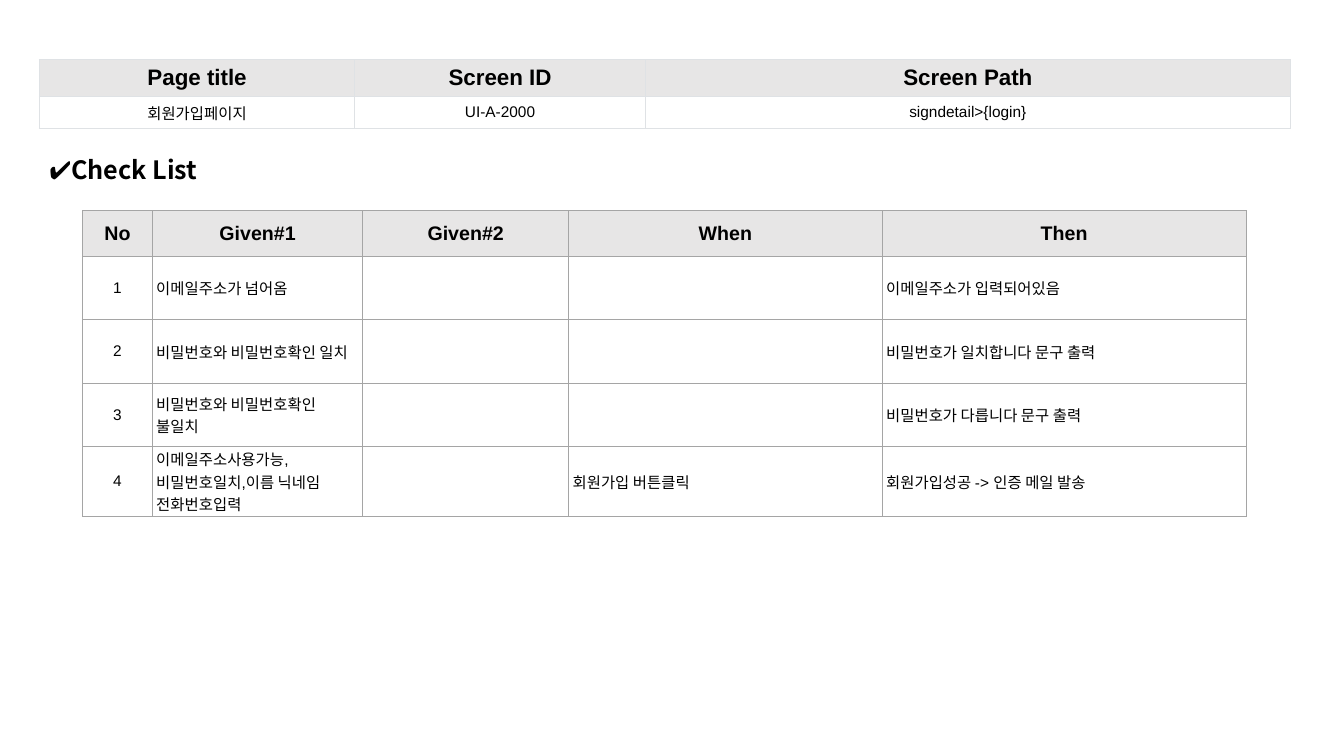
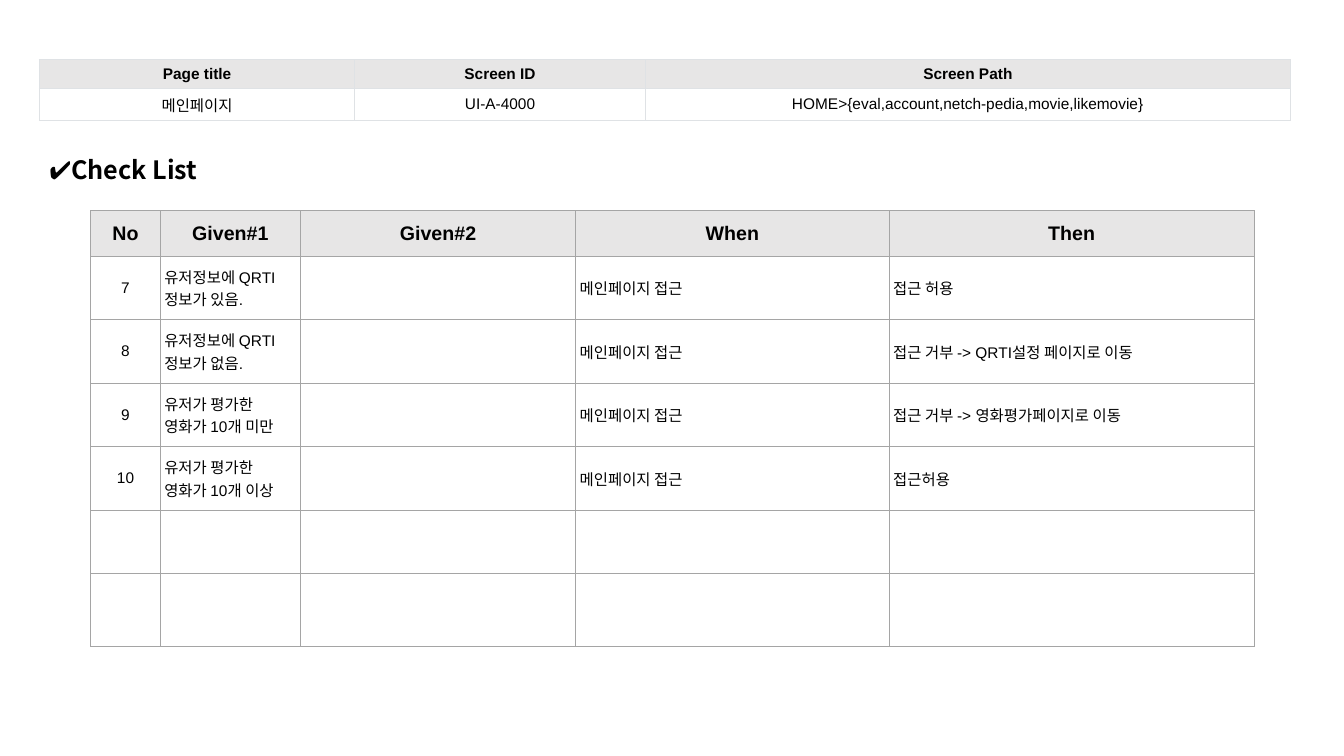
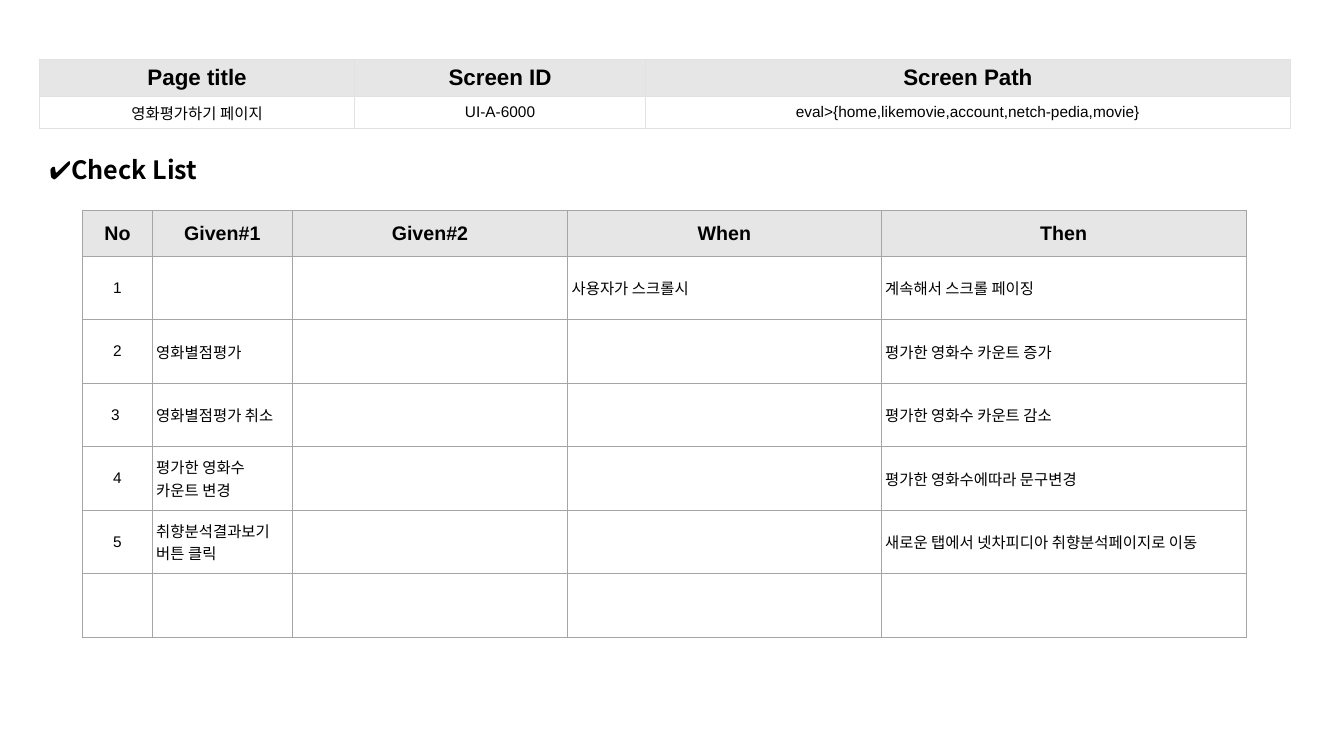
"""Build three screen check-list slides."""
from dataclasses import dataclass

from lxml import etree
from pptx import Presentation
from pptx import util as u
from pptx.dml.color import RGBColor
from pptx.enum import text
from pptx.oxml import ns


@dataclass(frozen=True)
class Theme:
    """Colours, fonts and type sizes of the deck."""
    ink: str = "000000"
    paper: str = "FFFFFF"
    header_fill: str = "E7E6E6"
    info_border: str = "DFE2E5"
    check_border: str = "A5A5A5"
    latin: str = "Arial"
    korean: str = "Noto Sans CJK KR"
    title_size: int = 18
    info_header_size: int = 16
    check_header_size: int = 14
    body_size: int = 11
    border_width: float = 0.75


THEME = Theme()
CENTER, LEFT = text.PP_ALIGN.CENTER, text.PP_ALIGN.LEFT
INFO_HEADERS = ("Page title", "Screen ID", "Screen Path")
INFO_COLUMNS = (3.13, 2.88, 6.4)
CHECK_HEADERS = ("No", "Given#1", "Given#2", "When", "Then")
WIDE_GIVEN = (0.69, 2.09, 2.04, 3.11, 3.61)
NARROW_GIVEN = (0.69, 1.39, 2.73, 3.11, 3.62)
EMPTY_ROW = ("",) * len(CHECK_HEADERS)


def write_text(frame, content, size=THEME.body_size, bold=False, font=THEME.latin, align=LEFT):
    """Write one formatted paragraph into a text frame."""
    paragraph = frame.paragraphs[0]
    paragraph.alignment = align
    run = paragraph.add_run()
    run.text = content
    run.font.name = font
    run.font.size = u.Pt(size)
    run.font.bold = bold
    run.font.color.rgb = RGBColor.from_string(THEME.ink)
    east_asian = etree.SubElement(run.font._element, ns.qn("a:ea"))
    east_asian.set("typeface", THEME.korean)


def set_borders(cell, color):
    """Draw a thin line on all four sides of a cell."""
    properties = cell._tc.get_or_add_tcPr()
    for index, side in enumerate(("lnL", "lnR", "lnT", "lnB")):
        line = etree.Element(ns.qn(f"a:{side}"), w=str(u.Pt(THEME.border_width)))
        fill = etree.SubElement(line, ns.qn("a:solidFill"))
        etree.SubElement(fill, ns.qn("a:srgbClr"), val=color)
        properties.insert(index, line)


def add_grid(slide, left, top, columns, heights, rows, border, header_size,
             header_margins, body_margins, centered):
    """Add a table whose first row is a header."""
    table = slide.shapes.add_table(
        len(rows), len(columns), u.Inches(left), u.Inches(top),
        u.Inches(sum(columns)), u.Inches(sum(heights))).table
    table.first_row = table.horz_banding = False
    for column, width in zip(table.columns, columns):
        column.width = u.Inches(width)
    for row_index, (row, height, values) in enumerate(zip(table.rows, heights, rows)):
        row.height = u.Inches(height)
        is_header = row_index == 0
        side, edge = header_margins if is_header else body_margins
        for column_index, (cell, value) in enumerate(zip(row.cells, values)):
            cell.margin_left = cell.margin_right = u.Inches(side)
            cell.margin_top = cell.margin_bottom = u.Inches(edge)
            cell.vertical_anchor = text.MSO_ANCHOR.MIDDLE
            cell.fill.solid()
            cell.fill.fore_color.rgb = RGBColor.from_string(
                THEME.header_fill if is_header else THEME.paper)
            set_borders(cell, border)
            if value:
                write_text(cell.text_frame, value, bold=is_header,
                           size=header_size if is_header else THEME.body_size,
                           align=CENTER if is_header or column_index in centered else LEFT)


def add_check_table(slide, rows, columns, left=0.82, last_height=0.63):
    """Add the table of given, when and then cases."""
    heights = [0.45] + [0.63] * (len(rows) - 1) + [last_height]
    add_grid(slide, left, 2.09, columns, heights, [CHECK_HEADERS, *rows],
             THEME.check_border, THEME.check_header_size, (0.04, 0.02), (0.04, 0.01), {0})


def add_title(slide):
    """Add the check-list heading."""
    box = slide.shapes.add_textbox(u.Inches(0.39), u.Inches(1.48), u.Inches(1.85), u.Inches(0.4))
    box.text_frame.word_wrap = True
    write_text(box.text_frame, "✔Check List", size=THEME.title_size, bold=True, font=THEME.korean)


def add_info_table(slide, values, header_size=THEME.info_header_size):
    """Add the strip that identifies the screen."""
    header_height = 0.36 if header_size == THEME.info_header_size else 0.28
    add_grid(slide, 0.39, 0.59, INFO_COLUMNS, (header_height, 0.32), [INFO_HEADERS, values],
             THEME.info_border, header_size, (0.11, 0.05), (0.11, 0.05), {0, 1, 2})


def add_screen_slide(presentation, info, rows, columns, info_options=None, **check_options):
    """Add one slide with its check list, heading and screen strip."""
    slide = presentation.slides.add_slide(presentation.slide_layouts[6])
    add_check_table(slide, rows, columns, **check_options)
    add_title(slide)
    add_info_table(slide, info, **(info_options or {}))


def main():
    """Build and save the deck."""
    presentation = Presentation()
    presentation.slide_width = u.Inches(13.33)
    presentation.slide_height = u.Inches(7.5)

    add_screen_slide(
        presentation, ("회원가입페이지", "UI-A-2000", "signdetail>{login}"),
        [("1", "이메일주소가 넘어옴", "", "", "이메일주소가 입력되어있음"),
         ("2", "비밀번호와 비밀번호확인 일치", "", "", "비밀번호가 일치합니다 문구 출력"),
         ("3", "비밀번호와 비밀번호확인 불일치", "", "", "비밀번호가 다릅니다 문구 출력"),
         ("4", "이메일주소사용가능, 비밀번호일치,이름 닉네임 전화번호입력", "",
          "회원가입 버튼클릭", "회원가입성공 -> 인증 메일 발송")],
        WIDE_GIVEN, last_height=0.69)

    add_screen_slide(
        presentation,
        ("메인페이지", "UI-A-4000", "HOME>{eval,account,netch-pedia,movie,likemovie}"),
        [("7", "유저정보에 QRTI정보가 있음.", "", "메인페이지 접근", "접근 허용"),
         ("8", "유저정보에 QRTI정보가 없음.", "", "메인페이지 접근",
          "접근 거부 -> QRTI설정 페이지로 이동"),
         ("9", "유저가 평가한 영화가 10개 미만", "", "메인페이지 접근",
          "접근 거부 -> 영화평가페이지로 이동"),
         ("10", "유저가 평가한 영화가 10개 이상", "", "메인페이지 접근", "접근허용"),
         EMPTY_ROW, EMPTY_ROW],
        NARROW_GIVEN, info_options={"header_size": THEME.body_size},
        left=0.9, last_height=0.72)

    add_screen_slide(
        presentation,
        ("영화평가하기 페이지", "UI-A-6000", "eval>{home,likemovie,account,netch-pedia,movie}"),
        [("1", "", "", "사용자가 스크롤시", "계속해서 스크롤 페이징"),
         ("2", "영화별점평가", "", "", "평가한 영화수 카운트 증가"),
         ("3 ", "영화별점평가 취소", "", "", "평가한 영화수 카운트 감소"),
         ("4", "평가한 영화수 카운트 변경", "", "", "평가한 영화수에따라 문구변경"),
         ("5", "취향분석결과보기 버튼 클릭", "", "",
          "새로운 탭에서 넷차피디아 취향분석페이지로 이동"),
         EMPTY_ROW],
        NARROW_GIVEN)

    presentation.save("out.pptx")


if __name__ == "__main__":
    main()
